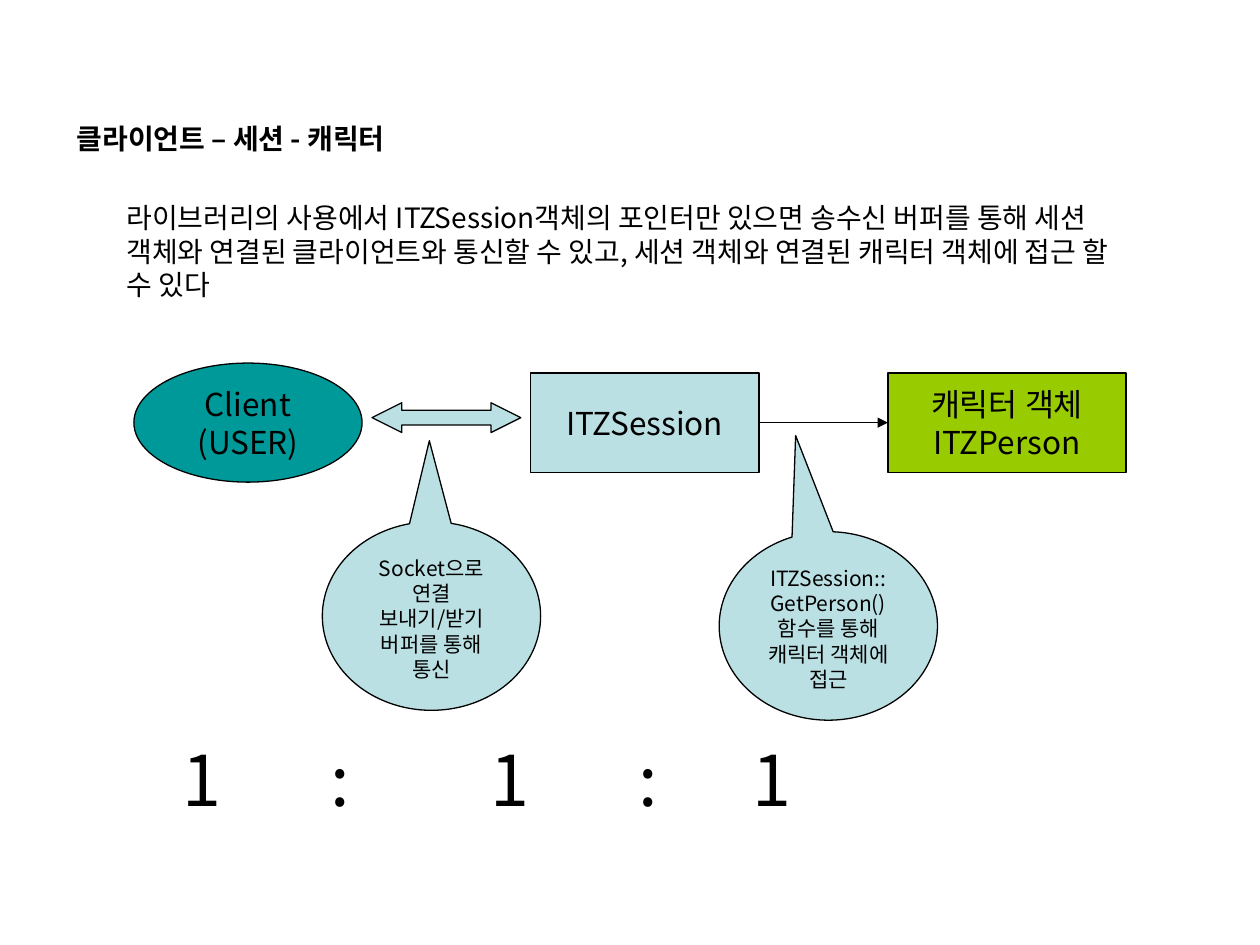
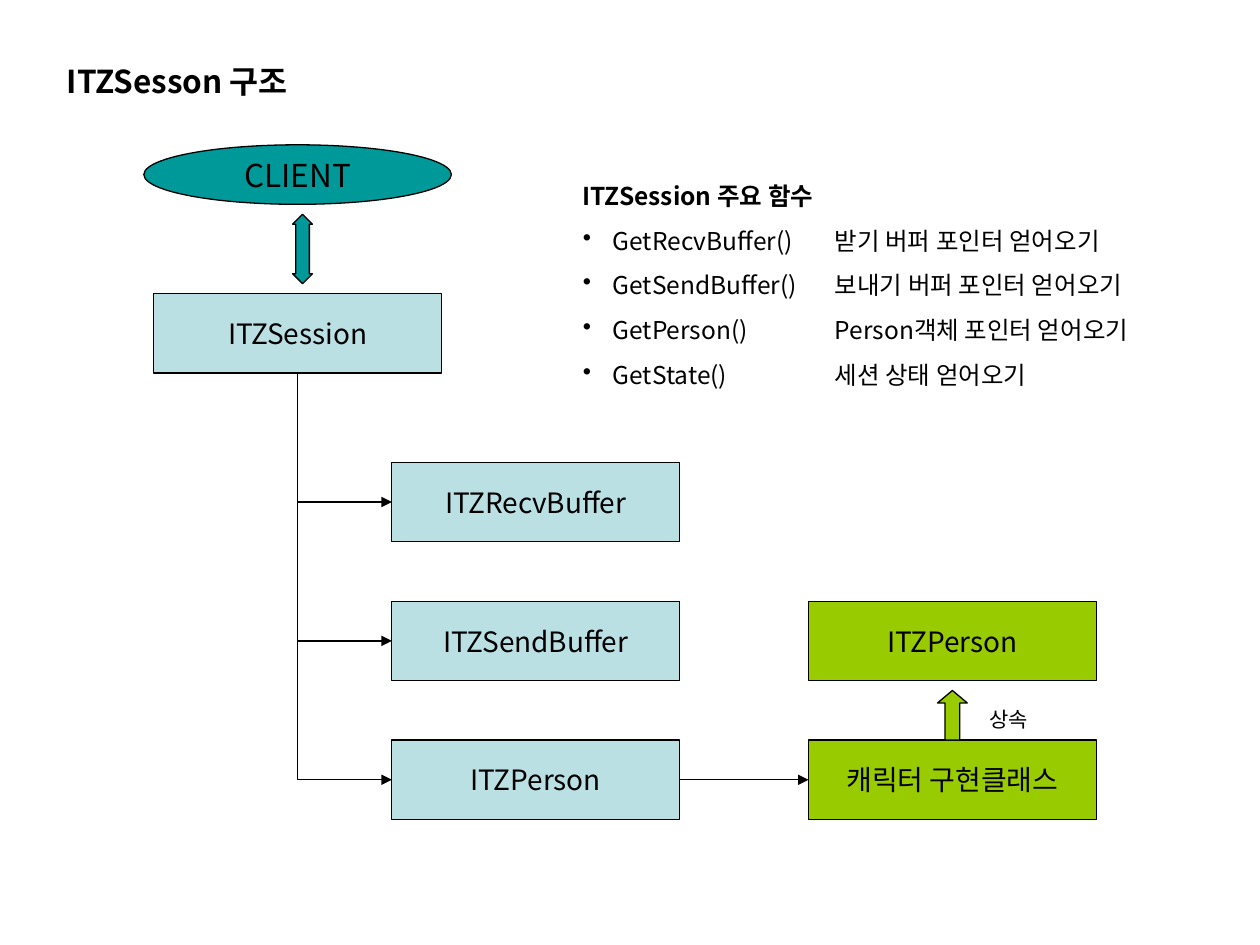
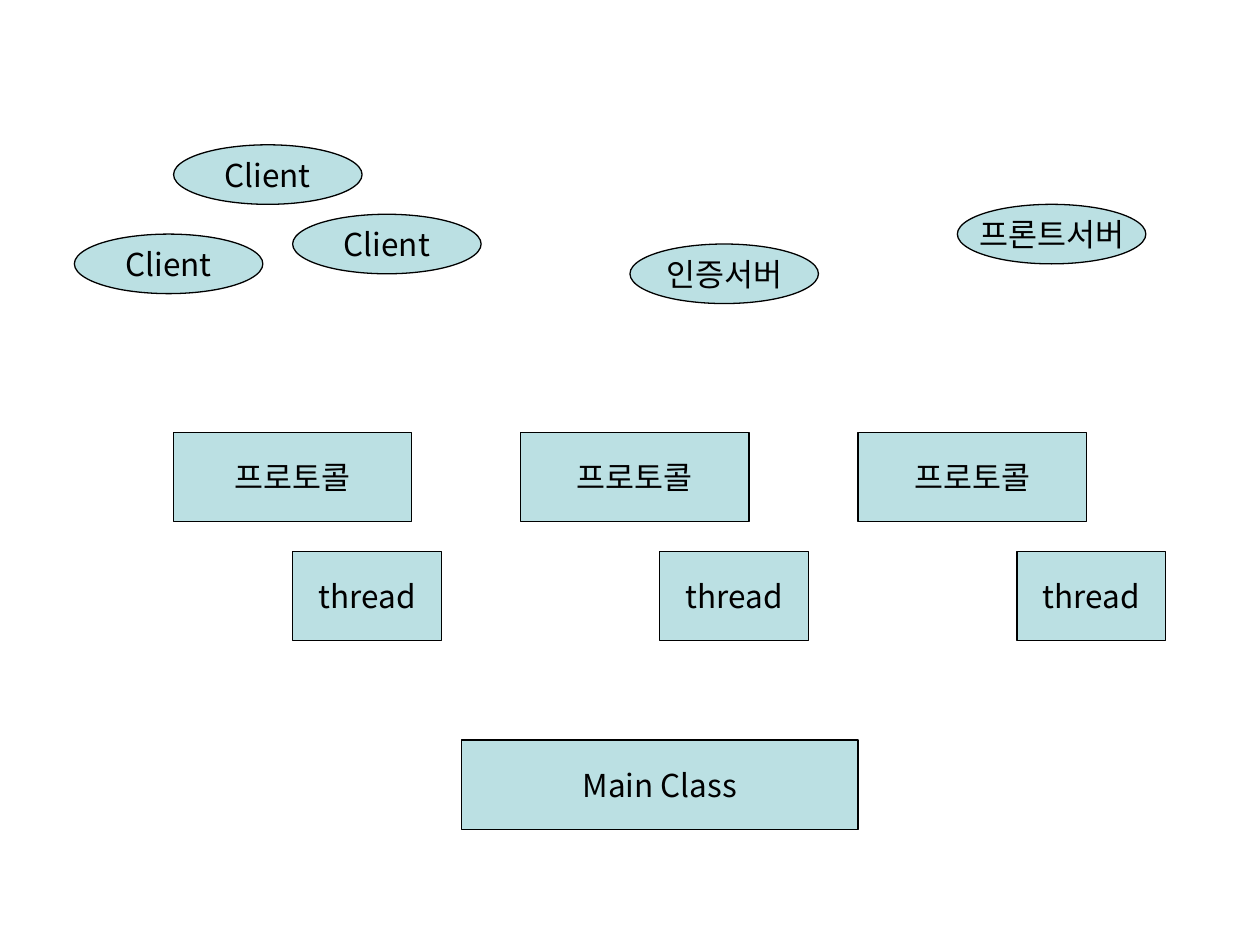
from dataclasses import dataclass

from lxml import etree
from pptx import Presentation
from pptx.dml.color import RGBColor
from pptx.enum.shapes import MSO_CONNECTOR, MSO_SHAPE
from pptx.enum.text import MSO_ANCHOR, MSO_AUTO_SIZE, PP_ALIGN
from pptx.oxml.ns import qn
from pptx.util import Inches, Mm, Pt

RECTANGLE, ELLIPSE = MSO_SHAPE.RECTANGLE, MSO_SHAPE.OVAL
CALLOUT = MSO_SHAPE.OVAL_CALLOUT
ARROW_ACROSS = MSO_SHAPE.LEFT_RIGHT_ARROW
ARROW_UP, ARROW_UP_DOWN = MSO_SHAPE.UP_ARROW, MSO_SHAPE.UP_DOWN_ARROW
STRAIGHT, ELBOW = MSO_CONNECTOR.STRAIGHT, MSO_CONNECTOR.ELBOW
LEFT, CENTER = PP_ALIGN.LEFT, PP_ALIGN.CENTER
TOP, MIDDLE = MSO_ANCHOR.TOP, MSO_ANCHOR.MIDDLE

BLACK = RGBColor(0x00, 0x00, 0x00)
PALE_BLUE = RGBColor(0xBB, 0xE0, 0xE3)
TEAL = RGBColor(0x00, 0x99, 0x99)
GREEN = RGBColor(0x99, 0xCC, 0x00)
FONT = "Noto Sans CJK KR"
LINE_WIDTH = Pt(0.75)

# Grid of 2 mm cells, with a small margin before the first column and row
CELL = Mm(2)
FIRST_COLUMN, FIRST_ROW = 0.5, 0.6


@dataclass(frozen=True)
class Node:
    """A filled shape; place and size are in grid cells."""
    column: float
    row: float
    width: float
    height: float
    lines: tuple[str, ...] = ()
    fill: RGBColor = PALE_BLUE
    kind: MSO_SHAPE = RECTANGLE
    size: float = 18
    adjustments: tuple[float, ...] = ()

    @property
    def middle_row(self) -> float:
        return self.row + self.height / 2

    @property
    def right(self) -> float:
        return self.column + self.width


def cells(count: float) -> int:
    return round(count * CELL)


def at_column(column: float) -> int:
    return cells(column + FIRST_COLUMN)


def at_row(row: float) -> int:
    return cells(row + FIRST_ROW)


def style_paragraph(paragraph, size: float, bold: bool = False, align=LEFT) -> None:
    paragraph.alignment = align
    font = paragraph.font
    font.size, font.bold, font.name = Pt(size), bold, FONT
    font.color.rgb = BLACK
    defaults = paragraph._p.pPr.find(qn("a:defRPr"))
    etree.SubElement(defaults, qn("a:ea"), typeface=FONT)


def add_tabs(paragraph, stops: tuple[float, ...], align: str) -> None:
    tabs = etree.SubElement(paragraph._p.get_or_add_pPr(), qn("a:tabLst"))
    for stop in stops:
        etree.SubElement(tabs, qn("a:tab"), pos=str(Inches(stop)), algn=align)


def add_bullet(paragraph, indent: int) -> None:
    properties = paragraph._p.get_or_add_pPr()
    properties.set("marL", str(indent))
    properties.set("indent", str(-indent))
    etree.SubElement(properties, qn("a:buChar"), char="•")


def add_node(slide, node: Node) -> None:
    shape = slide.shapes.add_shape(node.kind, at_column(node.column), at_row(node.row),
                                   cells(node.width), cells(node.height))
    shape.shadow.inherit = False
    shape.fill.solid()
    shape.fill.fore_color.rgb = node.fill
    shape.line.color.rgb = BLACK
    shape.line.width = LINE_WIDTH
    for index, value in enumerate(node.adjustments):
        shape.adjustments[index] = value
    if node.lines:
        frame = shape.text_frame
        is_callout = node.kind == CALLOUT
        frame.word_wrap = is_callout
        frame.vertical_anchor = TOP if is_callout else MIDDLE
        frame.text = "\n".join(node.lines)
        for paragraph in frame.paragraphs:
            style_paragraph(paragraph, node.size, align=CENTER)


def add_text(slide, column: float, row: float, width: float, height: float):
    box = slide.shapes.add_textbox(at_column(column), at_row(row), cells(width), cells(height))
    frame = box.text_frame
    frame.word_wrap = True
    frame.auto_size = MSO_AUTO_SIZE.SHAPE_TO_FIT_TEXT
    return frame


def add_label(slide, text: str, column: float, row: float, width: float, height: float,
              size: float, bold: bool = False) -> None:
    paragraph = add_text(slide, column, row, width, height).paragraphs[0]
    paragraph.text = text
    style_paragraph(paragraph, size, bold)


def style_arrow(connector) -> None:
    connector.line.color.rgb = BLACK
    connector.line.width = LINE_WIDTH
    etree.SubElement(connector.line._get_or_add_ln(), qn("a:tailEnd"), type="triangle")
    etree.SubElement(connector._element.spPr, qn("a:effectLst"))


def link_across(slide, source: Node, target: Node) -> None:
    row = at_row(source.middle_row)
    style_arrow(slide.shapes.add_connector(STRAIGHT, at_column(source.right), row,
                                           at_column(target.column), row))


def link_down(slide, source: Node, target: Node) -> None:
    """Go down from the source, then right to the target."""
    start_x = at_column(source.column + source.width / 2)
    start_y = at_row(source.row + source.height)
    end_x, end_y = at_column(target.column), at_row(target.middle_row)
    center_x, center_y = (start_x + end_x) // 2, (start_y + end_y) // 2
    # The single-bend preset runs right then down, so it is turned and flipped
    half_width, half_height = (end_y - start_y) // 2, (end_x - start_x) // 2
    connector = slide.shapes.add_connector(ELBOW, center_x - half_width, center_y - half_height,
                                           center_x + half_width, center_y + half_height)
    properties = connector._element.spPr
    properties.find(qn("a:prstGeom")).set("prst", "bentConnector2")
    transform = properties.find(qn("a:xfrm"))
    transform.set("rot", str(270 * 60000))
    transform.set("flipH", "1")
    style_arrow(connector)


def build_relation_slide(slide) -> None:
    client = Node(13, 36, 23, 12, ("Client", "(USER)"), TEAL, ELLIPSE)
    session = Node(53, 37, 23, 10, ("ITZSession",))
    person = Node(89, 37, 24, 10, ("캐릭터 객체", "ITZPerson"), GREEN)
    socket_arrow = Node(37, 40, 15, 3, kind=ARROW_ACROSS, adjustments=(0.5, 1))
    socket_note = Node(32, 52, 22, 19, ("Socket으로 연결", "보내기/받기 버퍼를 통해", "통신"),
                       kind=CALLOUT, size=12, adjustments=(-0.01, -0.93))
    person_note = Node(72, 53, 22, 19, ("ITZSession::GetPerson() 함수를 통해 캐릭터 객체에 접근",),
                       kind=CALLOUT, size=12, adjustments=(-0.15, -1.01))
    for node in (client, session, person, socket_arrow, socket_note):
        add_node(slide, node)
    link_across(slide, session, person)
    add_node(slide, person_note)

    # Ratio of the three objects
    ratio = add_text(slide, 15, 73, 96, 9.8).paragraphs[0]
    ratio.text = "\t1\t:\t1\t:\t1"
    add_tabs(ratio, (0.28, 1.38, 2.73, 3.83, 4.81), "ctr")
    style_paragraph(ratio, 40)

    add_label(slide, "클라이언트 – 세션 - 캐릭터", 6, 11, 41, 4.7, 16, bold=True)
    add_label(slide, "라이브러리의 사용에서 ITZSession객체의 포인터만 있으면 송수신 버퍼를 통해 "
                     "세션 객체와 연결된 클라이언트와 통신할 수 있고, 세션 객체와 연결된 "
                     "캐릭터 객체에 접근 할 수 있다", 11, 19, 104, 11.4, 16)


def build_structure_slide(slide) -> None:
    box_width, box_height, first_row, row_step = 29, 8, 46, 14
    session = Node(15, 29, box_width, box_height, ("ITZSession",), size=16)
    members = [Node(39, first_row + index * row_step, box_width, box_height, (name,), size=16)
               for index, name in enumerate(("ITZRecvBuffer", "ITZSendBuffer", "ITZPerson"))]
    base, derived = [Node(81, member.row, box_width, box_height, (name,), GREEN, size=16)
                     for member, name in zip(members[1:], ("ITZPerson", "캐릭터 구현클래스"))]
    client = Node(14, 14, 31, 6, ("CLIENT",), TEAL, ELLIPSE)
    client_arrow = Node(29, 21, 2, 7, fill=TEAL, kind=ARROW_UP_DOWN, adjustments=(0.5, 0.69))
    inherit_arrow = Node(94, 69, 3, 5, fill=GREEN, kind=ARROW_UP, adjustments=(0.5, 0.42))
    for node in (session, *members, derived, base, inherit_arrow, client, client_arrow):
        add_node(slide, node)
    link_across(slide, members[-1], derived)
    for member in members:
        link_down(slide, session, member)

    add_label(slide, "ITZSesson 구조", 5, 5, 41, 5.1, 18, bold=True)
    add_label(slide, "상속", 98, 70, 9, 3.8, 12)

    # Main functions
    functions = (
        ("GetRecvBuffer()", "받기 버퍼 포인터 얻어오기"),
        ("GetSendBuffer()", "보내기 버퍼 포인터 얻어오기"),
        ("GetPerson()", "Person객체 포인터 얻어오기"),
        ("GetState()", "세션 상태 얻어오기"),
    )
    frame = add_text(slide, 57, 17, 64, 22.35)
    heading = frame.paragraphs[0]
    heading.text = "ITZSession 주요 함수"
    style_paragraph(heading, 14, bold=True)
    for name, purpose in functions:
        paragraph = frame.add_paragraph()
        paragraph.text = f"{name}\t{purpose}"
        paragraph.space_before = Pt(8.8)
        add_bullet(paragraph, cells(3))
        add_tabs(paragraph, (2,), "l")
        style_paragraph(paragraph, 14)


def build_server_slide(slide) -> None:
    peers = ((17, 14, "Client"), (7, 23, "Client"), (29, 21, "Client"),
             (63, 24, "인증서버"), (96, 20, "프론트서버"))
    for column, row, name in peers:
        add_node(slide, Node(column, row, 19, 6, (name,), kind=ELLIPSE))
    for column, width in ((17, 24), (52, 23), (86, 23)):
        add_node(slide, Node(column, 43, width, 9, ("프로토콜",)))
    for column in (29, 66, 102):
        add_node(slide, Node(column, 55, 15, 9, ("thread",)))
    add_node(slide, Node(46, 74, 40, 9, ("Main Class",)))


def main() -> None:
    presentation = Presentation()
    presentation.slide_width, presentation.slide_height = Inches(10), Inches(7.5)
    blank = presentation.slide_layouts[6]
    for build in (build_relation_slide, build_structure_slide, build_server_slide):
        build(presentation.slides.add_slide(blank))
    presentation.save("out.pptx")


if __name__ == "__main__":
    main()
